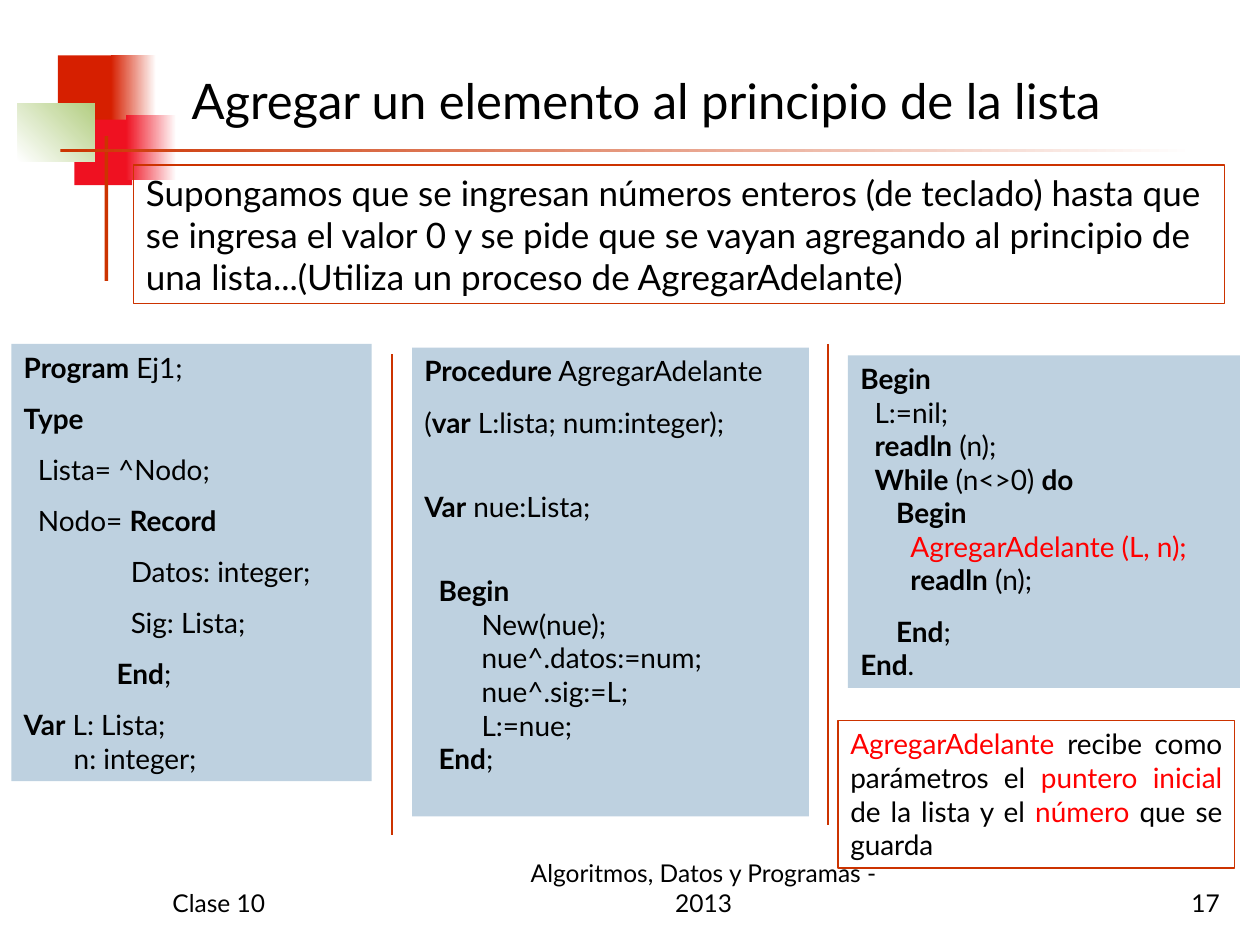
import copy

import pptx
import pptx.dml.color
import pptx.enum.shapes
import pptx.enum.text
import pptx.oxml.ns
import pptx.oxml.xmlchemy
import pptx.util
from lxml import etree

RECT = pptx.enum.shapes.MSO_SHAPE.RECTANGLE
STRAIGHT = pptx.enum.shapes.MSO_CONNECTOR.STRAIGHT
ALIGN = pptx.enum.text.PP_ALIGN
ANCHOR = pptx.enum.text.MSO_ANCHOR
rgb = pptx.dml.color.RGBColor.from_string
ORANGE, RED, BLUE = "CC3300", "FF0000", "BED1E0"

prs = pptx.Presentation()
prs.slide_width, prs.slide_height = pptx.util.Inches(10), pptx.util.Inches(7.5)
s = prs.slides.add_slide(prs.slide_layouts[5])
U = prs.slide_width // 1000  # grid of 1000 columns by 750 rows


def add_rect(box, fill=None, line=None, angle=0):
    """Rectangle on the grid; fill is None, one colour or a pair for a gradient."""
    sp = s.shapes.add_shape(RECT, *(v * U for v in box))
    sp.shadow.inherit = False
    if fill is None:
        sp.fill.background()
    elif isinstance(fill, str):
        sp.fill.solid()
        sp.fill.fore_color.rgb = rgb(fill)
    else:
        sp.fill.gradient()
        sp.fill.gradient_angle = angle
        for stop, position, color in zip(sp.fill.gradient_stops, (0, 1), fill):
            stop.position = position
            stop.color.rgb = rgb(color)
    if line:
        sp.line.color.rgb = rgb(ORANGE)
        sp.line.width = pptx.util.Pt(line)
    else:
        sp.line.fill.background()
    return sp


def write(sp, paragraphs, size, align=ALIGN.LEFT, anchor=ANCHOR.TOP):
    """Write (space before, text) pairs; *...* is bold, #...# is red."""
    tf = sp.text_frame
    tf.word_wrap = True
    tf.vertical_anchor = anchor
    for n, (space, text) in enumerate(paragraphs):
        p = tf.add_paragraph() if n else tf.paragraphs[0]
        p.alignment = align
        p.space_before = pptx.util.Pt(space)
        for row, line in enumerate(text.split("\n")):
            if row:
                p.add_line_break()
                p._p[-1].append(copy.deepcopy(r._r.rPr))
            for i, part in enumerate(line.split("*")):
                for j, piece in enumerate(part.split("#")):
                    if piece:
                        r = p.add_run()
                        r.text = piece
                        r.font.name = "Lato"
                        r.font.size = pptx.util.Pt(size)
                        r.font.bold = i % 2 == 1
                        r.font.color.rgb = rgb(RED if j % 2 else "000000")


# Corner ornament and rule
for box, fill, angle in [
    ((46, 44, 48, 52), "D61F00", 0),
    ((88, 44, 36, 52), ("D61F00", "FFFFFF"), 0),
    ((59, 95, 46, 52), "EF1121", 0),
    ((100, 91, 40, 52), ("EF1121", "FFFFFF"), 0),
    ((14, 82, 61, 46), ("FFFFFF", "B3CE82"), 45),
    ((83, 108, 3, 115), ORANGE, 0),
    ((48, 118, 900, 3), (ORANGE, "FFFFFF"), 0),
]:
    add_rect(box, fill, angle=angle)

# Title
title = s.shapes.title
title.left, title.top, title.width, title.height = (v * U for v in (142, 23, 828, 112))
write(title, [(0, "Agregar un elemento al principio de la lista")], 28, anchor=ANCHOR.MIDDLE)

# Footer
for left, width, text, align in [
    (127, 208, "Clase 10", ALIGN.LEFT),
    (400, 317, "Algoritmos, Datos y Programas - 2013", ALIGN.CENTER),
    (770, 208, "17", ALIGN.RIGHT),
]:
    tb = s.shapes.add_textbox(left * U, 683 * U, width * U, 50 * U)
    write(tb, [(0, text)], 14, align, ANCHOR.BOTTOM)

# Code columns
declarations = [
    (0, "*Program* Ej1;"),
    (10, "*Type*"),
    (10, "  Lista= ^Nodo;"),
    (10, "  Nodo= *Record*"),
    (10, "               Datos: integer;"),
    (10, "               Sig: Lista;"),
    (10, "             *End*;"),
    (10, "*Var* L: Lista;\n       n: integer;"),
]
procedure = [
    (0, "*Procedure* AgregarAdelante"),
    (10, "(*var* L:lista; num:integer);"),
    (29, "*Var* nue:Lista;"),
    (29, "  *Begin*\n        New(nue);\n        nue^.datos:=num;\n"
         "        nue^.sig:=L;\n        L:=nue;\n  *End*;"),
]
main_program = [
    (0, "*Begin*\n  L:=nil;\n  *readln* (n);\n  *While* (n<>0) *do*\n     *Begin*\n"
        "       #AgregarAdelante (L, n);#\n       *readln* (n);"),
    (10, "     *End*;\n*End*."),
]
for box, code in [
    ((9, 273, 286, 347), declarations),
    ((327, 276, 315, 372), procedure),
    ((673, 282, 311, 264), main_program),
]:
    write(add_rect(box, BLUE), code, 16)

# Column separators
for x, top in [(311, 281), (657, 273)]:
    cx = s.shapes.add_connector(STRAIGHT, x * U, top * U, x * U, (top + 382) * U)
    cx.line.color.rgb = rgb(ORANGE)
    cx.line.width = pptx.util.Pt(1)
    etree.SubElement(cx._element.spPr, pptx.oxml.ns.qn("a:effectLst"))

# Problem statement and note
statement = ("Supongamos que se ingresan números enteros (de teclado) hasta que se ingresa "
             "el valor 0 y se pide que se vayan agregando al principio de una lista..."
             "(Utiliza un proceso de AgregarAdelante)")
write(add_rect((106, 131, 866, 110), line=1), [(0, statement)], 20)
note = ("#AgregarAdelante# recibe como parámetros el #puntero inicial #"
        "de la lista y el #número# que se guarda")
write(add_rect((665, 572, 315, 117), line=0.75), [(0, note)], 16, ALIGN.JUSTIFY)

prs.save("out.pptx")
